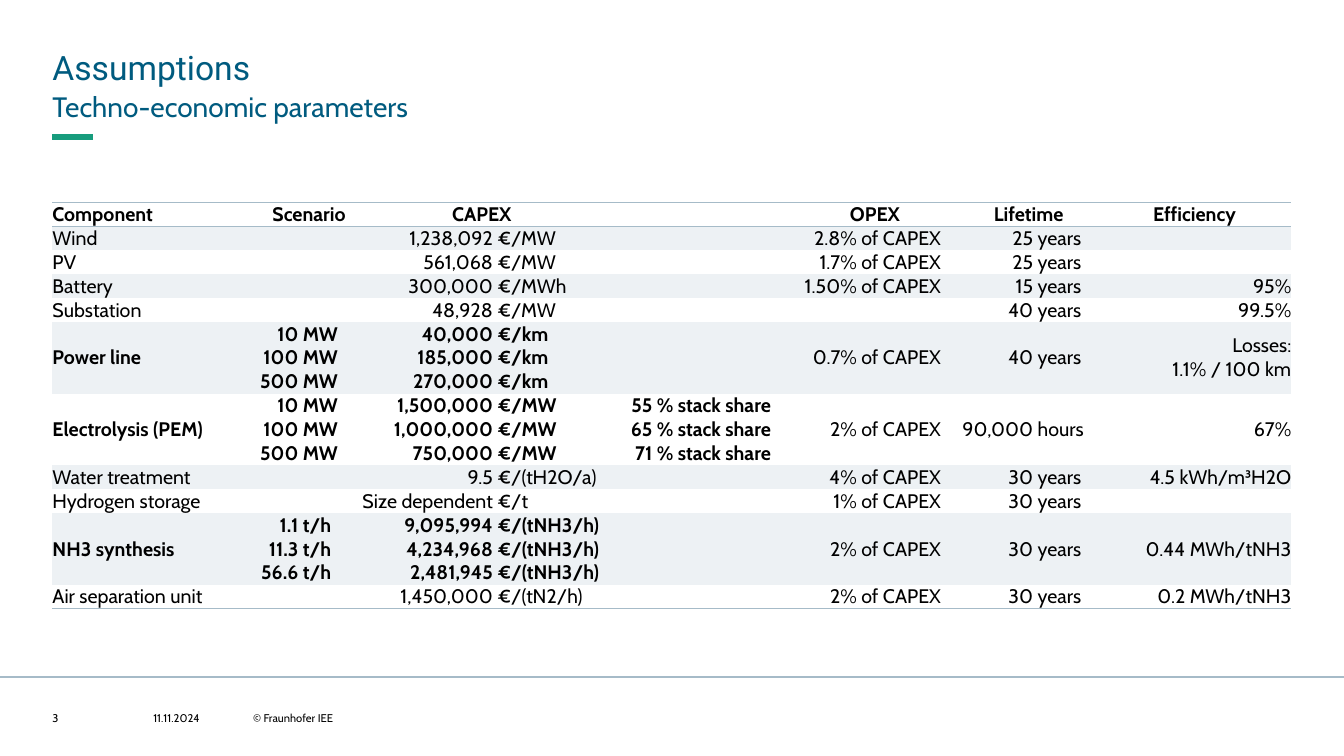
from dataclasses import dataclass

from lxml import etree
from pptx import Presentation
from pptx.dml.color import RGBColor
from pptx.enum.shapes import MSO_CONNECTOR
from pptx.enum.text import MSO_ANCHOR, PP_ALIGN
from pptx.oxml.ns import qn
from pptx.util import Inches, Pt

STRAIGHT = MSO_CONNECTOR.STRAIGHT
LEFT, CENTER, RIGHT = PP_ALIGN.LEFT, PP_ALIGN.CENTER, PP_ALIGN.RIGHT
TOP, MIDDLE, BOTTOM = MSO_ANCHOR.TOP, MSO_ANCHOR.MIDDLE, MSO_ANCHOR.BOTTOM
NO_STYLE = "{2D5ABB26-0587-4C30-8999-92F81FD0307C}"
NONE = ("", "")


@dataclass(frozen=True)
class Theme:
    heading_font: str = "Roboto"
    body_font: str = "Cabin"
    heading: str = "005B7F"
    text: str = "000000"
    accent: str = "179C7D"
    rule: str = "A6BBC8"
    band: str = "EDF1F4"
    title_pt: int = 24
    subtitle_pt: int = 20
    table_pt: int = 14
    footer_pt: int = 8


@dataclass(frozen=True)
class Label:
    text: str
    left: float
    top: float
    width: float
    height: float
    font: str
    size: int
    color: str
    anchor: MSO_ANCHOR = TOP
    spacing: float = 1.0


@dataclass(frozen=True)
class Rule:
    x1: float
    x2: float
    y: float
    color: str
    width: float


@dataclass(frozen=True)
class Variant:
    """One table row: each pair is (number, unit)."""
    capex: tuple[str, str]
    scenario: tuple[str, str] = NONE
    share: tuple[str, str] = NONE


@dataclass(frozen=True)
class Component:
    name: str
    opex: str
    lifetime: tuple[str, str]
    efficiency: str
    variants: list[Variant]


T = Theme()

LABELS = [
    Label("Assumptions", 0.52, 0.43, 12.28, 0.42, T.heading_font, T.title_pt, T.heading, spacing=1.1),
    Label("Techno-economic parameters", 0.52, 0.85, 12.28, 0.35, T.body_font, T.subtitle_pt,
          T.heading, spacing=1.1),
] + [
    Label(text, left, 7.06, width, 0.13, T.body_font, T.footer_pt, T.text, MIDDLE)
    for text, left, width in [("3", 0.52, 0.79), ("11.11.2024", 1.52, 0.79), ("© Fraunhofer IEE", 2.51, 3.23)]
]
RULES = [Rule(0.52, 0.92, 1.36, T.accent, 4), Rule(0, 13.33, 6.72, T.rule, 1.5)]

# Table content
COLUMNS = [1.82, 0.62, 0.47, 1.46, 1.24, 0.55, 1.16, 0.66, 1.02, 0.73, 0.64, 1.92]
TABLE_HEIGHT = 4.03
HEADER = {0: ("Component", LEFT), 1: ("Scenario", RIGHT), 3: ("CAPEX", CENTER),
          7: ("OPEX", CENTER), 9: ("Lifetime", CENTER), 11: ("Efficiency", CENTER)}
HEADER_PAIRS = (1, 3, 7, 9)
SHARED_COLUMNS = (0, 7, 8, 9, 10, 11)


def years(number: str) -> tuple[str, str]:
    return number, " years"


def scaled(unit: str, scenario_unit: str, rows: dict[str, str]) -> list[Variant]:
    return [Variant((cost, unit), (size, scenario_unit)) for size, cost in rows.items()]


COMPONENTS = [
    Component("Wind", "2.8%", years("25"), "", [Variant(("1,238,092", " €/MW"))]),
    Component("PV", "1.7%", years("25"), "", [Variant(("561,068", " €/MW"))]),
    Component("Battery", "1.50%", years("15"), "95%", [Variant(("300,000", " €/MWh"))]),
    Component("Substation", "", years("40"), "99.5%", [Variant(("48,928", " €/MW"))]),
    Component("Power line", "0.7%", years("40"), "Losses:\n1.1% / 100 km",
              scaled(" €/km", " MW", {"10": "40,000", "100": "185,000", "500": "270,000"})),
    Component("Electrolysis (PEM)", "2%", ("90,000", " hours"), "67%", [
        Variant((cost, " €/MW"), (size, " MW"), (share, " stack share"))
        for size, cost, share in [("10", "1,500,000", "55 %"), ("100", "1,000,000", "65 %"),
                                  ("500", "750,000", "71 %")]]),
    Component("Water treatment", "4%", years("30"), "4.5 kWh/m³H2O", [Variant(("9.5", " €/(tH2O/a)"))]),
    Component("Hydrogen storage", "1%", years("30"), "", [Variant(("Size dependent", " €/t"))]),
    Component("NH3 synthesis", "2%", years("30"), "0.44 MWh/tNH3",
              scaled(" €/(tNH3/h)", " t/h", {"1.1": "9,095,994", "11.3": "4,234,968", "56.6": "2,481,945"})),
    Component("Air separation unit", "2%", years("30"), "0.2 MWh/tNH3",
              [Variant(("1,450,000", " €/(tN2/h)"))]),
]


def set_font(font, name: str, size: int, color: str, bold: bool = False) -> None:
    font.name, font.size, font.bold = name, Pt(size), bold
    font.color.rgb = RGBColor.from_string(color)


def add_label(s, label: Label) -> None:
    box = s.shapes.add_textbox(*map(Inches, (label.left, label.top, label.width, label.height)))
    tf = box.text_frame
    tf.margin_left = tf.margin_top = tf.margin_right = tf.margin_bottom = 0
    tf.word_wrap, tf.vertical_anchor = True, label.anchor
    p = tf.paragraphs[0]
    p.text, p.line_spacing = label.text, label.spacing
    set_font(p.font, label.font, label.size, label.color)


def add_rule(s, rule: Rule) -> None:
    y = Inches(rule.y)
    line = s.shapes.add_connector(STRAIGHT, Inches(rule.x1), y, Inches(rule.x2), y)
    line.line.color.rgb = RGBColor.from_string(rule.color)
    line.line.width = Pt(rule.width)
    etree.SubElement(line._element.spPr, qn("a:effectLst"))


def add_border(cell, side: str) -> None:
    ln = etree.SubElement(cell._tc.get_or_add_tcPr(), qn(f"a:{side}"), w=str(Pt(1)))
    fill = etree.SubElement(ln, qn("a:solidFill"))
    etree.SubElement(fill, qn("a:srgbClr"), val=T.rule)


def fill_cell(cell, text: str, align: PP_ALIGN, bold: bool = False, anchor: MSO_ANCHOR = BOTTOM,
              banded: bool = False, borders: tuple[str, ...] = ()) -> None:
    cell.margin_left = cell.margin_top = cell.margin_right = cell.margin_bottom = 0
    cell.vertical_anchor = anchor
    for side in borders:
        add_border(cell, side)
    if banded:
        cell.fill.solid()
        cell.fill.fore_color.rgb = RGBColor.from_string(T.band)
    else:
        cell.fill.background()
    p = cell.text_frame.paragraphs[0]
    p.alignment = align
    set_font(p.font, T.body_font, T.table_pt, T.text, bold)
    if text:
        p.text = text
    else:  # keeps empty cells from stretching the row
        end = etree.SubElement(p._p, qn("a:endParaRPr"), sz=str(T.table_pt * 100))
        etree.SubElement(end, qn("a:latin"), typeface=T.body_font)


def add_parameter_table(s) -> None:
    row_count = 1 + sum(len(c.variants) for c in COMPONENTS)
    frame = s.shapes.add_table(row_count, len(COLUMNS), Inches(0.52), Inches(2.01),
                               Inches(sum(COLUMNS)), Inches(TABLE_HEIGHT))
    table = frame.table
    table.first_row = table.horz_banding = False
    table._tbl.tblPr.find(qn("a:tableStyleId")).text = NO_STYLE
    for column, width in zip(table.columns, COLUMNS):
        column.width = Inches(width)

    # Header row
    for col in HEADER_PAIRS:
        table.cell(0, col).merge(table.cell(0, col + 1))
    for col in range(len(COLUMNS)):
        text, align = HEADER.get(col, ("", LEFT))
        fill_cell(table.cell(0, col), text, align, bold=True, borders=("lnT", "lnB"))

    # Component rows, every other component banded
    row = 1
    for i, c in enumerate(COMPONENTS):
        grouped = len(c.variants) > 1
        if grouped:
            for col in SHARED_COLUMNS:
                table.cell(row, col).merge(table.cell(row + len(c.variants) - 1, col))
        for k, v in enumerate(c.variants):
            opex = (c.opex, " of CAPEX" if c.opex else "")
            texts = [c.name, *v.scenario, *v.capex, *v.share, *opex, *c.lifetime, c.efficiency]
            for col, text in enumerate(texts):
                shared = grouped and col in SHARED_COLUMNS
                fill_cell(table.cell(row, col), "" if shared and k else text,
                          RIGHT if col % 2 else LEFT, bold=grouped and col < 7,
                          anchor=MIDDLE if shared else BOTTOM, banded=i % 2 == 0,
                          borders=("lnB",) if row == row_count - 1 else ())
            row += 1


def main() -> None:
    prs = Presentation()
    prs.slide_width, prs.slide_height = Inches(13.33), Inches(7.5)
    s = prs.slides.add_slide(prs.slide_layouts[6])
    for rule in RULES:
        add_rule(s, rule)
    for label in LABELS:
        add_label(s, label)
    add_parameter_table(s)
    prs.save("out.pptx")


if __name__ == "__main__":
    main()
